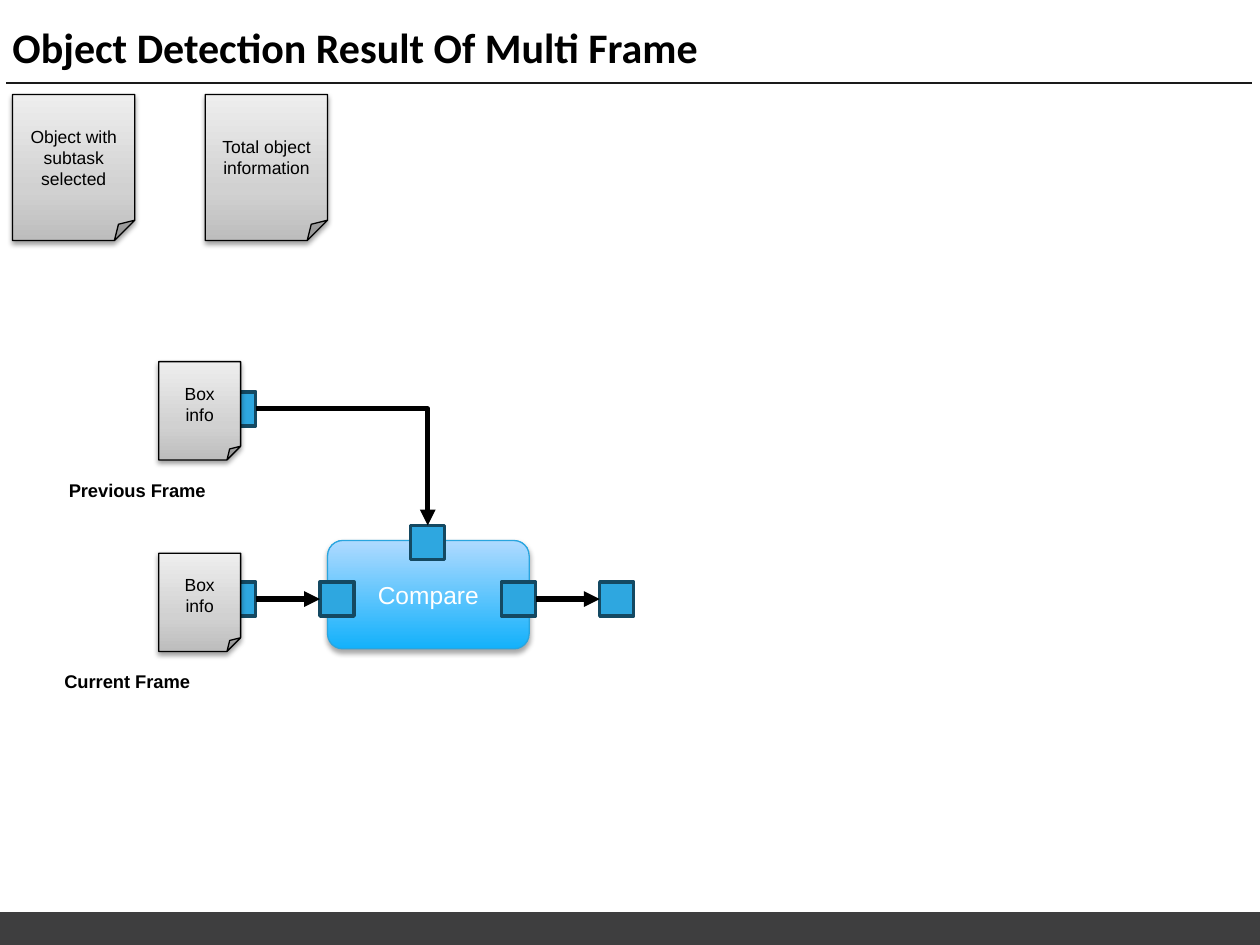
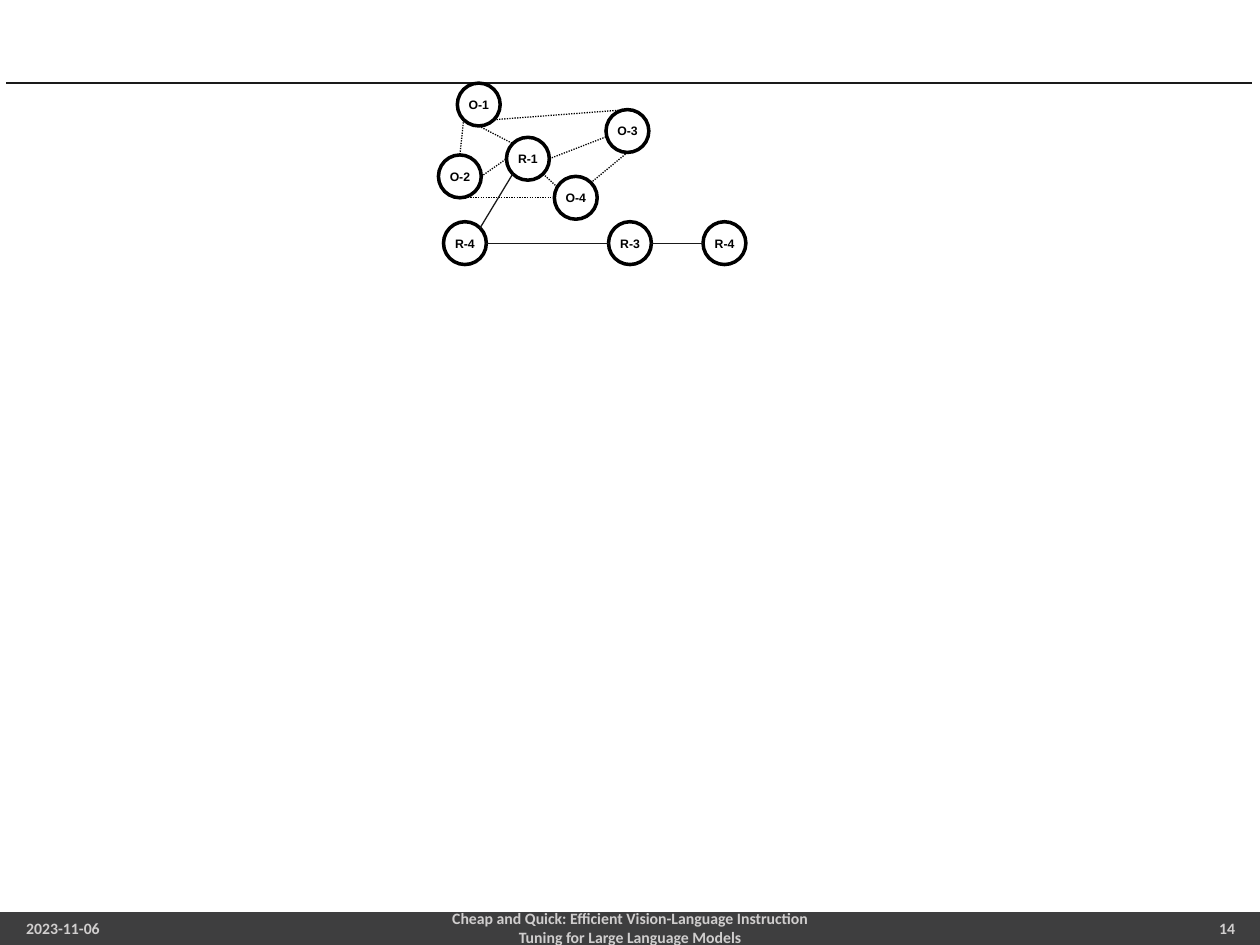
from math import cos, radians, sin

from lxml import etree
from pptx import Presentation
from pptx.dml.color import RGBColor
from pptx.enum import dml, shapes, text
from pptx.oxml import ns
from pptx.util import Inches, Pt

HUES = {
    "ink": "000000", "rule": "1A1A1A", "band": "3E3E3F", "foot": "D0CECE",
    "port": "2EA7E0", "edge": "144962", "trim": "29A5DF", "white": "FFFFFF",
}
FADES = {
    "card": [(0, "BDBDBD"), (35, "D1D1D1"), (100, "EEEEEE")],
    "step": [(0, "13B1FB"), (100, "AFDAFF")],
}
KINDS = shapes.MSO_SHAPE
LEFT, MID, RIGHT = text.PP_ALIGN.LEFT, text.PP_ALIGN.CENTER, text.PP_ALIGN.RIGHT
PORT = 0.27
DISC = 0.34


def hue(name):
    return RGBColor.from_string(HUES[name])


def node(parent, tag, **attrs):
    child = etree.SubElement(parent, ns.qn(tag))
    for key, value in attrs.items():
        child.set(key, str(value))
    return child


def write(frame, words, size=10, font="Arial", color="ink", bold=False,
          align=MID, anchor=text.MSO_ANCHOR.MIDDLE, lead=None):
    frame.word_wrap = True
    frame.vertical_anchor = anchor
    for i, line in enumerate(words.split("\n")):
        para = frame.add_paragraph() if i else frame.paragraphs[0]
        para.alignment = align
        if lead:
            para.line_spacing = lead
        run = para.add_run()
        run.text = line
        run.font.size = Pt(size)
        run.font.name = font
        run.font.bold = bold
        run.font.color.rgb = hue(color)


def label(slide, words, x, y, w, h, **style):
    box = slide.shapes.add_textbox(Inches(x), Inches(y), Inches(w), Inches(h))
    write(box.text_frame, words, **style)


def block(slide, kind, x, y, w, h, fill=None, edge=None, width=0.75):
    shape = slide.shapes.add_shape(kind, Inches(x), Inches(y), Inches(w), Inches(h))
    shape.shadow.inherit = False
    if fill:
        shape.fill.solid()
        shape.fill.fore_color.rgb = hue(fill)
    else:
        shape.fill.background()
    if edge:
        shape.line.color.rgb = hue(edge)
        shape.line.width = Pt(width)
    else:
        shape.line.fill.background()
    return shape


def shade(shape, stops, alpha, dist):
    props = shape._element.spPr
    old = props.find(ns.qn("a:noFill"))
    grad = etree.Element(ns.qn("a:gradFill"), rotWithShape="1")
    props.replace(old, grad)
    chain = node(grad, "a:gsLst")
    for place, color in stops:
        stop = node(chain, "a:gs", pos=place * 1000)
        node(stop, "a:srgbClr", val=color)
    node(grad, "a:lin", ang=270 * 60000, scaled=0)
    cast = node(props.find(ns.qn("a:effectLst")), "a:outerShdw", blurRad=Pt(3.1),
                dist=Pt(dist), dir=90 * 60000, rotWithShape=0)
    tint = node(cast, "a:srgbClr", val=HUES["ink"])
    node(tint, "a:alpha", val=alpha * 1000)


def card(slide, words, x, y, w, h):
    sheet = block(slide, KINDS.FOLDED_CORNER, x, y, w, h, edge="ink")
    shade(sheet, FADES["card"], 38, 1.6)
    write(sheet.text_frame, words)


def port(slide, x, y):
    return block(slide, KINDS.RECTANGLE, x, y, PORT, PORT, "port", "edge", 2)


def line(slide, start, end, color="ink", width=0.75, dots=False, bent=False):
    kind = shapes.MSO_CONNECTOR.ELBOW if bent else shapes.MSO_CONNECTOR.STRAIGHT
    link = slide.shapes.add_connector(kind, *(Inches(n) for n in (*start, *end)))
    link.line.color.rgb = hue(color)
    link.line.width = Pt(width)
    if dots:
        link.line.dash_style = dml.MSO_LINE.ROUND_DOT
    node(link._element.spPr, "a:effectLst")
    return link


def arrow(slide, first, last, side=1, bent=False):
    link = line(slide, (0, 0), (1, 1), width=3, bent=bent)
    link.begin_connect(first, 3)
    link.end_connect(last, side)
    props = link._element.spPr
    if bent:
        props.find(ns.qn("a:prstGeom")).set("prst", "bentConnector2")
    node(props.find(ns.qn("a:ln")), "a:tailEnd", type="triangle")


def disc(slide, name, x, y):
    block(slide, KINDS.OVAL, x, y, DISC, DISC, edge="ink", width=2)
    w, h = 0.55, 0.22
    label(slide, name, x + (DISC - w) / 2, y + (DISC - h) / 2, w, h, size=7, bold=True)


def rim(spot, turn):
    half = DISC / 2
    x, y = spot
    return x + half + half * cos(radians(turn)), y + half + half * sin(radians(turn))


def page(deck):
    slide = deck.slides.add_slide(deck.slide_layouts[6])
    line(slide, (0.05, 0.66), (9.94, 0.66), "rule", 1)
    block(slide, KINDS.RECTANGLE, 0, 7.24, 10, 0.26, "band")
    return slide


def flow(deck):
    slide = page(deck)
    label(slide, "Object Detection Result Of Multi Frame", 0, 0.13, 7.52, 0.53,
          size=24, font="Calibri", bold=True, align=LEFT, lead=0.9)
    step = block(slide, KINDS.ROUNDED_RECTANGLE, 2.6, 4.29, 1.6, 0.86, edge="trim")
    step.adjustments[0] = 0.14
    shade(step, FADES["step"], 35, 1.8)
    write(step.text_frame, "Compare", size=14, color="white")
    for words, x, y in (("Previous Frame", 0.42, 3.75), ("Current Frame", 0.34, 5.27)):
        label(slide, words, x, y, 1.34, 0.28, size=10.5, bold=True,
              anchor=text.MSO_ANCHOR.TOP)

    row = 4.62
    past, top = port(slide, 1.76, 3.11), port(slide, 3.26, 4.17)
    now, left, right, out = [port(slide, x, row) for x in (1.76, 2.54, 3.98, 4.76)]
    arrow(slide, past, top, side=0, bent=True)
    arrow(slide, now, left)
    arrow(slide, right, out)
    for y in (2.87, 4.39):
        card(slide, "Box\ninfo", 1.26, y, 0.65, 0.78)
    for words, x in (("Object with subtask selected", 0.1),
                     ("Total object information", 1.63)):
        card(slide, words, x, 0.75, 0.97, 1.16)


def graph(deck):
    slide = page(deck)
    for words, x, w, align in (
        ("2023-11-06", 0.11, 2.25, LEFT),
        ("Cheap and Quick: Efficient Vision-Language Instruction Tuning "
         "for Large Language Models", 3.31, 3.38, MID),
        ("14", 7.65, 2.25, RIGHT),
    ):
        label(slide, words, x, 7.24, w, 0.25, size=9, font="Calibri",
              color="foot", bold=True, align=align)

    o1, o2, o3, o4 = (3.63, 0.66), (3.48, 1.23), (4.81, 0.87), (4.4, 1.4)
    r1, r2, r3, r4 = (4.02, 1.09), (3.52, 1.76), (4.83, 1.76), (5.58, 1.76)
    names = ("O-1", "O-2", "O-3", "O-4", "R-1", "R-4", "R-3", "R-4")
    for name, spot in zip(names, (o1, o2, o3, o4, r1, r2, r3, r4)):
        disc(slide, name, *spot)

    for first, out, last, into in (
        (o1, 135, o2, 270), (o1, 45, o3, 270), (o2, 90, o4, 180),
        (o3, 90, o4, 315), (r1, 45, o4, 210), (r1, 0, o3, 165),
        (o1, 90, r1, 225), (o2, 0, r1, 180),
    ):
        line(slide, rim(first, out), rim(last, into), dots=True)
    for first, out, last, into in (
        (r1, 135, r2, 315), (r3, 180, r2, 0), (r4, 180, r3, 0),
    ):
        line(slide, rim(first, out), rim(last, into), "rule")


def main():
    deck = Presentation()
    deck.slide_width, deck.slide_height = Inches(10), Inches(7.5)
    flow(deck)
    graph(deck)
    deck.save("out.pptx")


if __name__ == "__main__":
    main()
